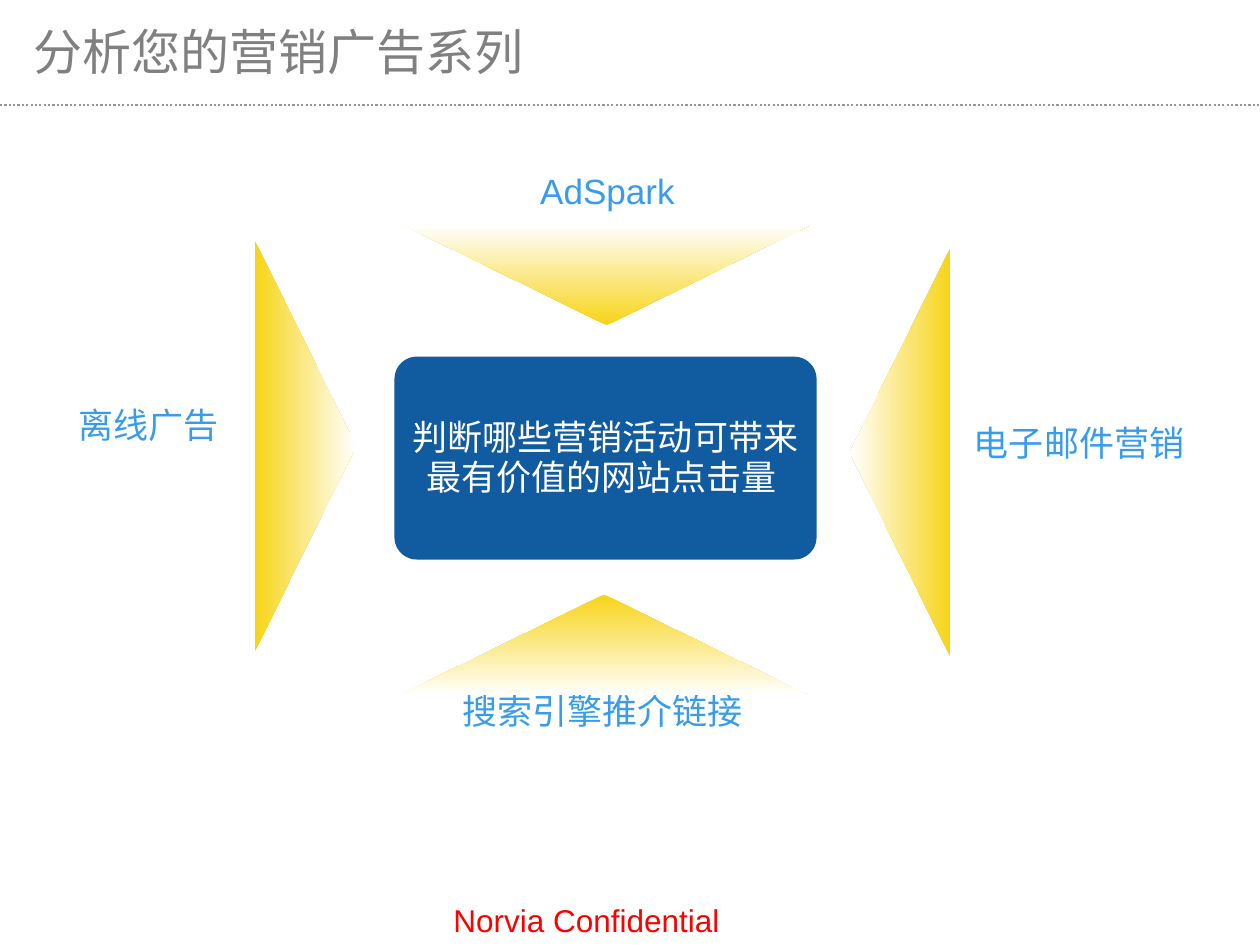
"""Build a slide on analysing marketing campaigns: four channels pointing at one goal."""
from dataclasses import dataclass

from lxml import etree
from pptx import Presentation
from pptx import util as u
from pptx.dml.color import RGBColor
from pptx.enum import dml, shapes, text
from pptx.oxml.ns import qn

Box = tuple[float, float, float, float]


@dataclass(frozen=True)
class Theme:
    rule: str = "969696"
    title: str = "808080"
    goal: str = "115BA1"
    goal_text: str = "FFFFFF"
    channel: str = "389CED"
    notice: str = "FF0000"
    yellow: str = "F7D417"
    white: str = "FFFFFF"
    title_size: int = 28
    body_size: int = 20
    notice_size: int = 18
    latin: str = "Arial"
    serif: str = "Times New Roman"


@dataclass(frozen=True)
class Words:
    content: str
    size: int
    color: str
    font: str
    align: text.PP_ALIGN = text.PP_ALIGN.CENTER
    anchor: text.MSO_ANCHOR = text.MSO_ANCHOR.TOP
    wrap: bool = True
    before: float = 0
    spacing: float = 1.0
    inset_x: float = 7.2


@dataclass(frozen=True)
class Channel:
    label: str
    label_box: Box
    center: tuple[float, float]
    rotation: int
    yellow_tip: bool
    font: str = "Times New Roman"
    wrap: bool = False
    before: float = 12.5
    label_behind: bool = True


THEME = Theme()
WEDGE_WIDTH, WEDGE_HEIGHT = 234, 57.6
CHANNELS = [
    Channel("离线广告 ", (4.3, 226.8, 165.6, 31.7), (174.6, 254.9), 90, False, wrap=True, label_behind=False),
    Channel("AdSpark ", (298.8, 93.6, 102.2, 31.7), (346.7, 157), 180, True, font=THEME.latin),
    Channel("电子邮件营销 ", (549.4, 237.6, 139, 31.7), (514.4, 258.5), 270, False, label_behind=False),
    Channel("搜索引擎推介链接 ", (221, 390.2, 251.3, 31.7), (345.2, 368.6), 0, True, before=2.5),
]


def points(*lengths: float) -> list[u.Length]:
    """Turn numbers into lengths in points."""
    return [u.Pt(length) for length in lengths]


def apply(target: object, values: dict) -> None:
    """Set each named attribute on the target."""
    for name, value in values.items():
        setattr(target, name, value)


def write(frame, words: Words) -> None:
    """Fill a text frame with one formatted paragraph."""
    apply(frame, {
        "word_wrap": words.wrap,
        "vertical_anchor": words.anchor,
        "margin_left": u.Pt(words.inset_x),
        "margin_right": u.Pt(words.inset_x),
        "margin_top": u.Pt(3.6),
        "margin_bottom": u.Pt(3.6),
    })
    paragraph = frame.paragraphs[0]
    apply(paragraph, {
        "alignment": words.align,
        "space_before": u.Pt(words.before),
        "line_spacing": words.spacing,
    })
    run = paragraph.add_run()
    run.text = words.content
    apply(run.font, {"size": u.Pt(words.size), "name": words.font})
    run.font.color.rgb = RGBColor.from_string(words.color)


def add_words(slide, box: Box, words: Words) -> None:
    """Place a text box."""
    write(slide.shapes.add_textbox(*points(*box)).text_frame, words)


def add_plain(slide, kind: shapes.MSO_SHAPE, box: Box):
    """Place a preset shape without line or shadow."""
    shape = slide.shapes.add_shape(kind, *points(*box))
    shape.shadow.inherit = False
    shape.line.fill.background()
    return shape


def add_rule(slide, y: float) -> None:
    """Draw the dotted rule under the title."""
    rule = slide.shapes.add_connector(shapes.MSO_CONNECTOR.STRAIGHT, *points(0, y, 720, y))
    apply(rule.line, {"width": u.Pt(1.25), "dash_style": dml.MSO_LINE.ROUND_DOT})
    rule.line.color.rgb = RGBColor.from_string(THEME.rule)
    etree.SubElement(rule.element.spPr, qn("a:effectLst"))


def add_goal(slide) -> None:
    """Draw the central goal panel."""
    goal = add_plain(slide, shapes.MSO_SHAPE.ROUNDED_RECTANGLE, (225.4, 203.8, 241.2, 115.9))
    goal.adjustments[0] = 0.11
    goal.fill.solid()
    goal.fill.fore_color.rgb = RGBColor.from_string(THEME.goal)
    write(goal.text_frame, Words(
        "判断哪些营销活动可带来最有价值的网站点击量 ", THEME.body_size, THEME.goal_text, THEME.serif,
        anchor=text.MSO_ANCHOR.MIDDLE, spacing=0.95, inset_x=3.6))


def add_wedge(slide, channel: Channel) -> None:
    """Draw the fading triangle that points at the goal."""
    x, y = channel.center
    box = (x - WEDGE_WIDTH / 2, y - WEDGE_HEIGHT / 2, WEDGE_WIDTH, WEDGE_HEIGHT)
    wedge = add_plain(slide, shapes.MSO_SHAPE.ISOSCELES_TRIANGLE, box)
    wedge.rotation = channel.rotation
    wedge.fill.gradient()
    wedge.fill.gradient_angle = 270 if channel.yellow_tip else 90
    for stop, color in zip(wedge.fill.gradient_stops, (THEME.yellow, THEME.white)):
        stop.color.rgb = RGBColor.from_string(color)


def add_channel(slide, channel: Channel) -> None:
    """Draw a channel label and its wedge in stacking order."""
    if not channel.label_behind:
        add_wedge(slide, channel)
    add_words(slide, channel.label_box, Words(
        channel.label, THEME.body_size, THEME.channel, channel.font,
        wrap=channel.wrap, before=channel.before))
    if channel.label_behind:
        add_wedge(slide, channel)


def main() -> None:
    """Assemble and save the slide."""
    deck = Presentation()
    apply(deck, {"slide_width": u.Pt(720), "slide_height": u.Pt(540)})
    slide = deck.slides.add_slide(deck.slide_layouts[6])
    add_rule(slide, 59.8)
    add_words(slide, (252, 511.2, 216, 28.8), Words(
        "Norvia Confidential", THEME.notice_size, THEME.notice, THEME.latin,
        align=text.PP_ALIGN.LEFT, before=11.2))
    add_words(slide, (12.2, 15.1, 648, 33.8), Words(
        "分析您的营销广告系列", THEME.title_size, THEME.title, THEME.serif,
        align=text.PP_ALIGN.LEFT, anchor=text.MSO_ANCHOR.MIDDLE, spacing=0.8))
    add_goal(slide)
    for channel in CHANNELS:
        add_channel(slide, channel)
    deck.save("out.pptx")


if __name__ == "__main__":
    main()
